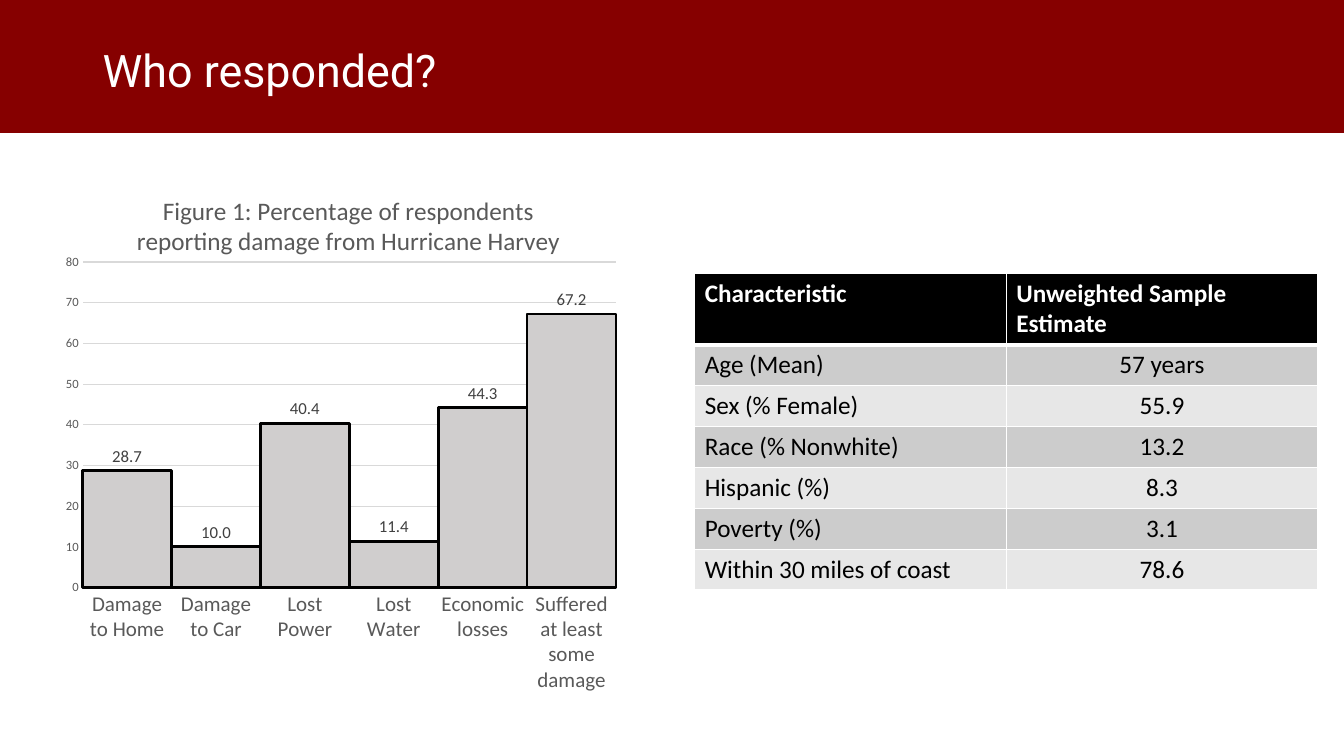
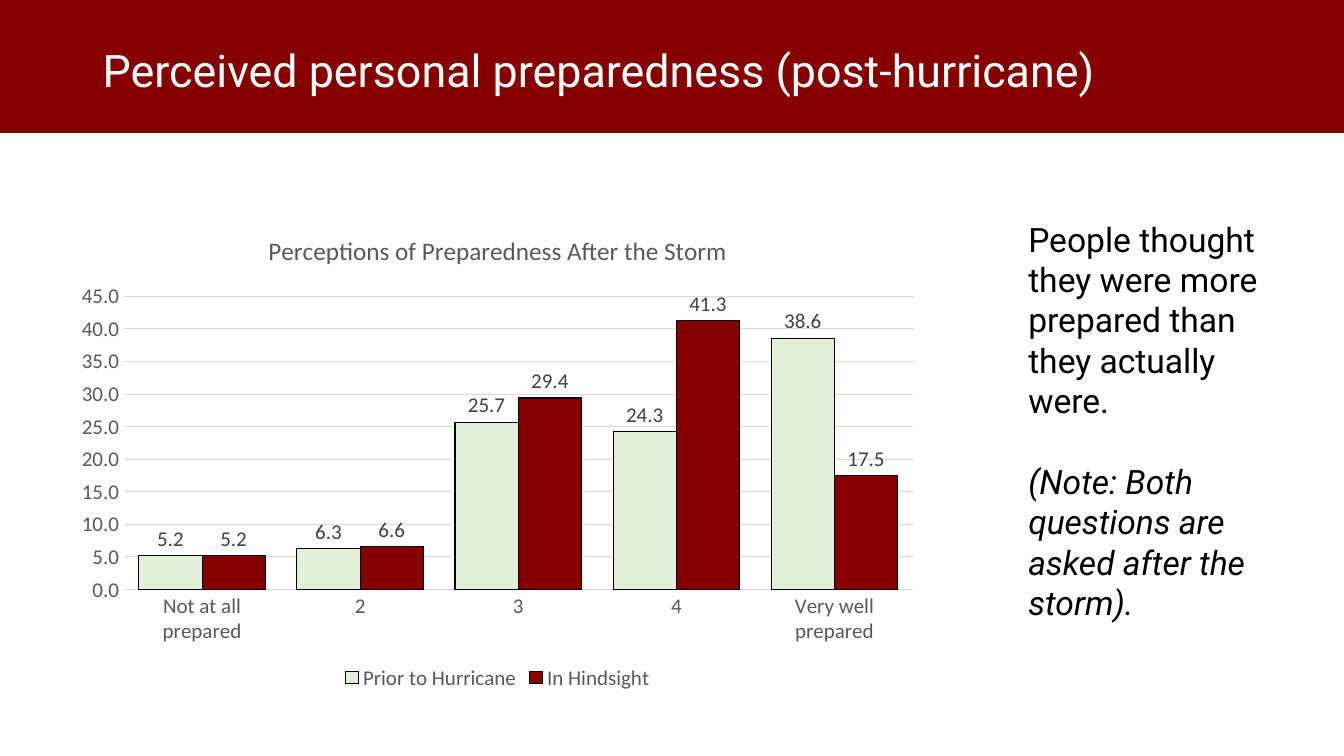
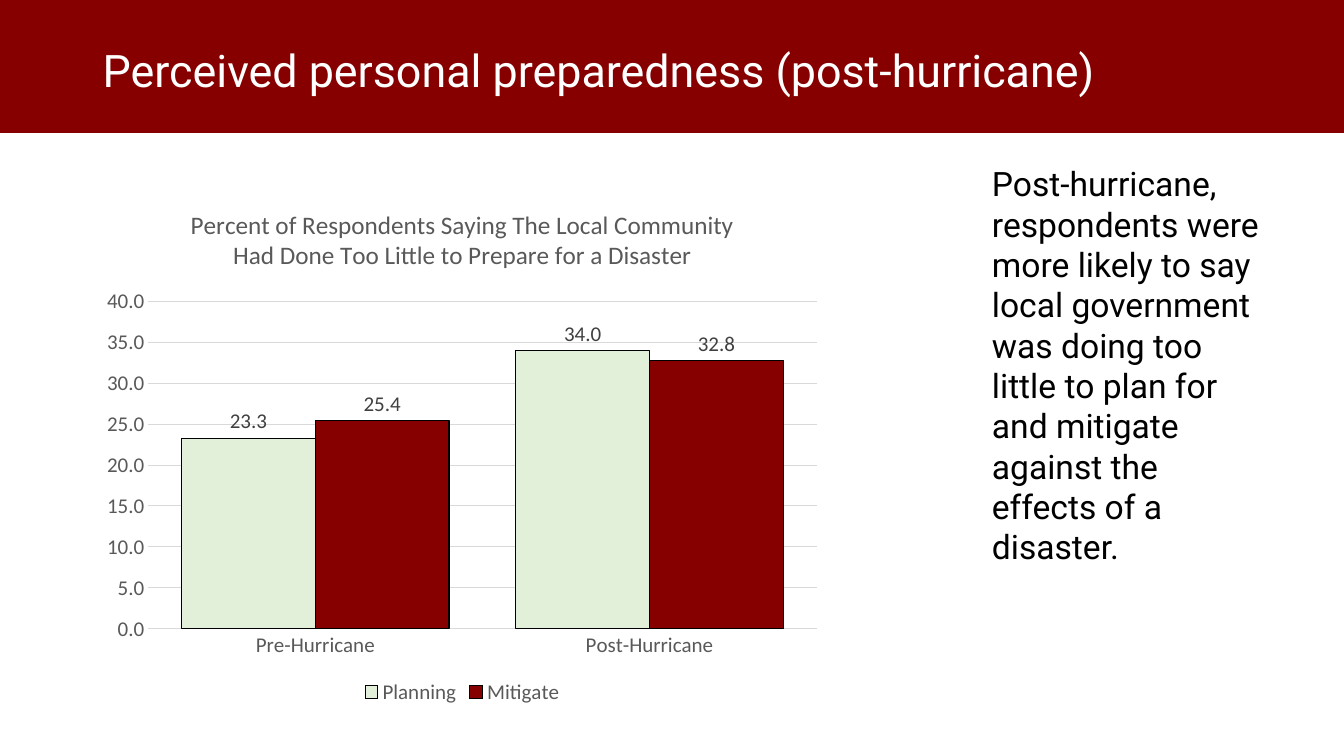
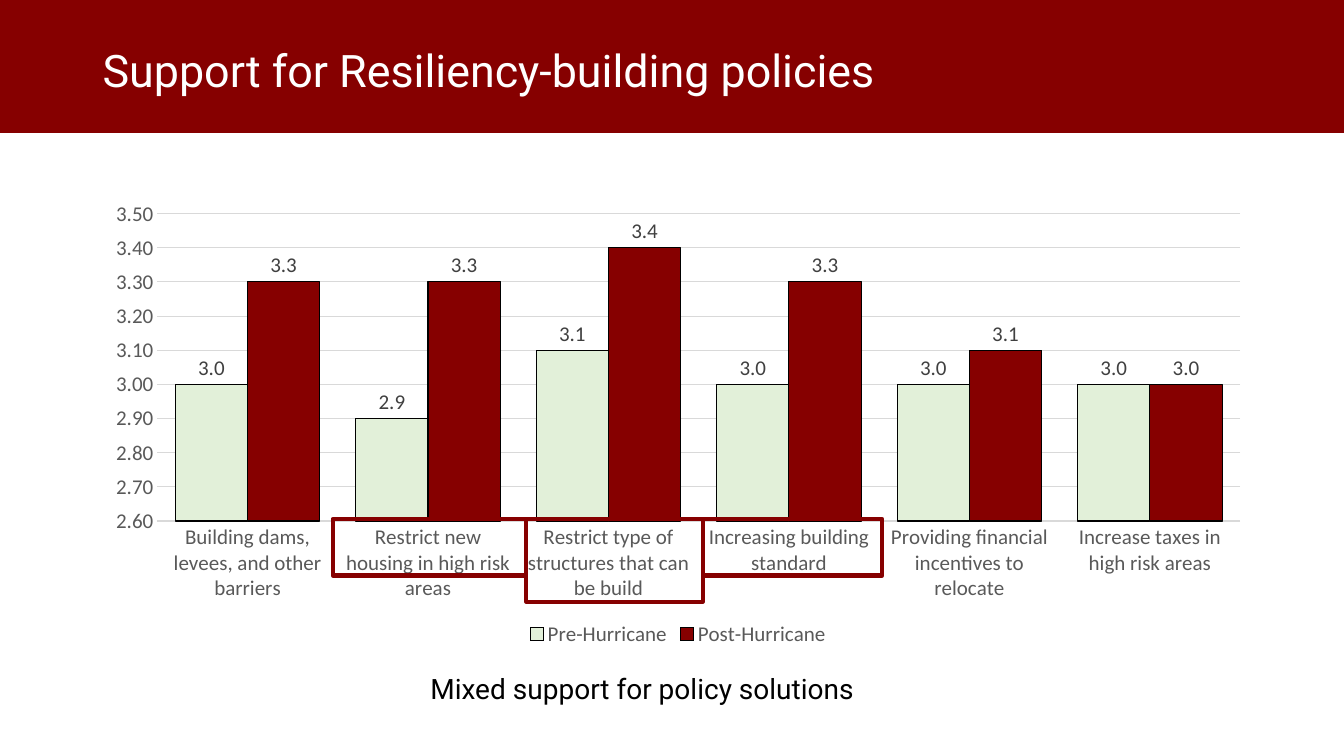
from lxml import etree
from pptx import Presentation
from pptx.chart.data import CategoryChartData
from pptx.dml.color import RGBColor
from pptx.enum.chart import XL_CHART_TYPE as ChartType
from pptx.enum.chart import XL_LABEL_POSITION as LabelPosition
from pptx.enum.chart import XL_LEGEND_POSITION as LegendPosition
from pptx.enum.chart import XL_TICK_MARK as TickMark
from pptx.enum.shapes import MSO_SHAPE as Shape
from pptx.enum.text import MSO_ANCHOR as Anchor
from pptx.enum.text import MSO_AUTO_SIZE as AutoSize
from pptx.enum.text import PP_ALIGN as Align
from pptx.oxml import parse_xml
from pptx.oxml.ns import nsdecls, qn
from pptx.util import Pt

PX = 9144
WIDTH, HEIGHT = 1333, 750
COLORS = {
    "crimson": "860000", "mint": "E2F0D9", "silver": "D0CECE",
    "white": "FFFFFF", "black": "000000", "axis": "595959",
    "label": "404040", "grid": "D9D9D9", "odd": "CCCCCC", "even": "E7E7E7",
}
HEADING = {"name": "Roboto", "size": 32, "color": "white"}
BODY = {"name": "Roboto", "size": 24, "color": "black"}
CHART_TEXT = {"name": "Calibri", "size": 15, "color": "axis"}
TABLE_TEXT = {"name": "Calibri", "size": 18, "color": "black", "bold": False}
TABLE_HEAD = TABLE_TEXT | {"color": "white", "bold": True}
PAIR = {"fills": ["mint", "crimson"], "line": 0.75, "gap": 50, "overlap": 0,
        "legend": True, "axis_size": 15, "label_size": 15, "axis_format": "0.0"}

SAMPLE = {
    "frame": (689, 271), "column": 309, "head_height": 70, "row_height": 40,
    "rows": [
        ("Characteristic", "Unweighted Sample Estimate"),
        ("Age (Mean)", "57 years"),
        ("Sex (% Female)", "55.9"),
        ("Race (% Nonwhite)", "13.2"),
        ("Hispanic (%)", "8.3"),
        ("Poverty (%)", "3.1"),
        ("Within 30 miles of coast", "78.6"),
    ],
}
PREPAREDNESS = "Perceived personal preparedness (post-hurricane)"

SLIDES = [
    {
        "title": "Who responded?",
        "chart": {
            "title": "Figure 1: Percentage of respondents reporting damage from Hurricane Harvey",
            "frame": (49, 171, 593, 536), "plot": (82, 260, 529, 323),
            "scale": (0, 80, 10), "axis_format": "General", "axis_size": 9,
            "label_size": 12, "fills": ["silver"], "line": 2, "gap": 0,
            "overlap": -27, "legend": False,
            "categories": ["Damage to Home", "Damage to Car", "Lost Power", "Lost Water",
                           "Economic losses", "Suffered at least some damage"],
            "series": {"Series 1": [28.7, 10, 40.4, 11.4, 44.3, 67.2]},
        },
        "table": SAMPLE,
    },
    {
        "title": PREPAREDNESS,
        "chart": PAIR | {
            "title": "Perceptions of Preparedness After the Storm",
            "frame": (64, 212, 859, 477), "plot": (122, 294, 784, 291),
            "scale": (0, 45, 5),
            "categories": ["Not at all prepared", "2", "3", "4", "Very well prepared"],
            "series": {"Prior to Hurricane": [5.2, 6.3, 25.7, 24.3, 38.6],
                       "In Hindsight": [5.2, 6.6, 29.4, 41.3, 17.5]},
        },
        "text": {
            "frame": (1010, 212, 262, 488),
            "paragraphs": [
                ("People thought they were more prepared than they actually were.", {}),
                ("(Note: Both questions are asked after the storm).", {"italic": True}),
            ],
        },
    },
    {
        "title": PREPAREDNESS,
        "chart": PAIR | {
            "title": "Percent of Respondents Saying The Local Community "
                     "Had Done Too Little to Prepare for a Disaster",
            "frame": (92, 185, 733, 518), "plot": (147, 299, 663, 325),
            "scale": (0, 40, 5),
            "categories": ["Pre-Hurricane", "Post-Hurricane"],
            "series": {"Planning": [23.3, 34], "Mitigate": [25.4, 32.8]},
        },
        "text": {
            "frame": (974, 157, 294, 414),
            "paragraphs": [
                ("Post-hurricane, respondents were more likely to say local government was "
                 "doing too little to plan for and mitigate against the effects of a disaster.", {}),
            ],
        },
    },
    {
        "title": "Support for Resiliency-building policies",
        "chart": PAIR | {
            "title": None,
            "frame": (92, 190, 1161, 456), "plot": (156, 212, 1074, 305),
            "scale": (2.6, 3.5, 0.1), "axis_format": "0.00",
            "categories": ["Building dams, levees, and other barriers",
                           "Restrict new housing in high risk areas",
                           "Restrict type of structures that can be build",
                           "Increasing building standard",
                           "Providing financial incentives to relocate",
                           "Increase taxes in high risk areas"],
            "series": {"Pre-Hurricane": [3, 2.9, 3.1, 3, 3, 3],
                       "Post-Hurricane": [3.3, 3.3, 3.4, 3.3, 3.1, 3]},
        },
        "highlights": {"left": 330, "top": 515, "sizes": [(192, 56), (175, 82), (178, 56)]},
        "text": {
            "frame": (417, 661, 510, 44),
            "paragraphs": [("Mixed support for policy solutions", {"size": 20})],
        },
    },
]


def emu(lengths):
    return [length * PX for length in lengths]


def rgb(name):
    return RGBColor.from_string(COLORS[name])


def assign(target, values):
    for name, value in values.items():
        setattr(target, name, value)


def style_font(font, values):
    for name, value in values.items():
        if name == "color":
            font.color.rgb = rgb(value)
        else:
            setattr(font, name, Pt(value) if name == "size" else value)


def paint(fill, color):
    fill.solid()
    fill.fore_color.rgb = rgb(color)


def draw_line(line, color, width):
    line.color.rgb = rgb(color)
    line.width = Pt(width)


def add_rectangle(page, frame, fill, width):
    box = page.shapes.add_shape(Shape.RECTANGLE, *emu(frame))
    box.shadow.inherit = False
    if fill:
        paint(box.fill, fill)
    else:
        box.fill.background()
    draw_line(box.line, "crimson", width)


def add_text(page, frame, paragraphs, base, frame_format, para_format):
    text_frame = page.shapes.add_textbox(*emu(frame)).text_frame
    assign(text_frame, {"word_wrap": True} | frame_format)
    for index, (text, extra) in enumerate(paragraphs):
        para = text_frame.add_paragraph() if index else text_frame.paragraphs[0]
        assign(para, para_format)
        if index:
            para.space_before = Pt(29)
        span = para.add_run()
        span.text = text
        style_font(span.font, base | extra)


def place_plot(chart, frame, plot):
    area = chart.element.find(".//" + qn("c:plotArea"))
    for old in area.findall(qn("c:layout")):
        area.remove(old)
    left, top, width, height = frame
    values = {
        "layoutTarget": "inner", "xMode": "edge", "yMode": "edge",
        "x": (plot[0] - left) / width, "y": (plot[1] - top) / height,
        "w": plot[2] / width, "h": plot[3] / height,
    }
    layout = etree.Element(qn("c:layout"))
    manual = etree.SubElement(layout, qn("c:manualLayout"))
    for name, value in values.items():
        etree.SubElement(manual, qn("c:" + name)).set("val", str(value))
    area.insert(0, layout)


def style_axes(chart, content):
    low, high, step = content["scale"]
    category, value = chart.category_axis, chart.value_axis
    for axis, size in ((category, 15), (value, content["axis_size"])):
        assign(axis, {"major_tick_mark": TickMark.NONE, "minor_tick_mark": TickMark.NONE})
        style_font(axis.tick_labels.font, CHART_TEXT | {"size": size})
    draw_line(category.format.line, "grid", 0.75)
    assign(value, {"minimum_scale": low, "maximum_scale": high, "major_unit": step,
                   "has_major_gridlines": True})
    value.format.line.fill.background()
    draw_line(value.major_gridlines.format.line, "grid", 0.75)
    assign(value.tick_labels, {"number_format": content["axis_format"],
                               "number_format_is_linked": False})


def add_column_chart(page, content):
    data = CategoryChartData()
    data.categories = content["categories"]
    for name, values in content["series"].items():
        data.add_series(name, values)
    chart = page.shapes.add_chart(
        ChartType.COLUMN_CLUSTERED, *emu(content["frame"]), data).chart
    style_font(chart.font, CHART_TEXT)
    chart.has_title = bool(content["title"])
    if content["title"]:
        title = chart.chart_title
        title.include_in_layout = False
        title.text_frame.text = content["title"]
        span = title.text_frame.paragraphs[0].runs[0]
        style_font(span.font, CHART_TEXT | {"size": 18, "bold": False})
    chart.has_legend = content["legend"]
    if content["legend"]:
        assign(chart.legend, {"position": LegendPosition.BOTTOM, "include_in_layout": False})
        style_font(chart.legend.font, CHART_TEXT)
    style_axes(chart, content)
    plot = chart.plots[0]
    assign(plot, {"gap_width": content["gap"], "overlap": content["overlap"],
                  "vary_by_categories": False})
    for series, color in zip(plot.series, content["fills"]):
        paint(series.format.fill, color)
        draw_line(series.format.line, "black", content["line"])
        labels = series.data_labels
        assign(labels, {"show_value": True, "position": LabelPosition.OUTSIDE_END,
                        "number_format": "#,##0.0", "number_format_is_linked": False})
        style_font(labels.font, CHART_TEXT | {"size": content["label_size"], "color": "label"})
    place_plot(chart, content["frame"], content["plot"])


def add_borders(cell, widths):
    properties = cell._tc.get_or_add_tcPr()
    for side, width in widths.items():
        properties.append(parse_xml(
            f'<a:ln{side} {nsdecls("a")} w="{Pt(width)}"><a:solidFill>'
            f'<a:srgbClr val="{COLORS["white"]}"/></a:solidFill></a:ln{side}>'))


def add_sample_table(page, content):
    rows = content["rows"]
    heights = [content["head_height"]] + [content["row_height"]] * (len(rows) - 1)
    size = (content["column"] * 2, sum(heights))
    table = page.shapes.add_table(len(rows), 2, *emu(content["frame"] + size)).table
    for column in table.columns:
        column.width = content["column"] * PX
    for row, (texts, height) in enumerate(zip(rows, heights)):
        table.rows[row].height = height * PX
        fill = ("odd" if row % 2 else "even") if row else "black"
        for column, text in enumerate(texts):
            cell = table.cell(row, column)
            add_borders(cell, {"L": 1, "R": 1, "T": 3 if row == 1 else 1, "B": 1 if row else 3})
            paint(cell.fill, fill)
            para = cell.text_frame.paragraphs[0]
            para.alignment = Align.CENTER if row and column else Align.LEFT
            span = para.add_run()
            span.text = text
            style_font(span.font, TABLE_TEXT if row else TABLE_HEAD)


def add_highlights(page, content):
    left = content["left"]
    for width, height in content["sizes"]:
        add_rectangle(page, (left, content["top"], width, height), None, 3)
        left += width


def add_page(deck, content):
    page = deck.slides.add_slide(deck.slide_layouts[6])
    add_column_chart(page, content["chart"])
    if "table" in content:
        add_sample_table(page, content["table"])
    add_rectangle(page, (0, 0, WIDTH, 131), "crimson", 1)
    add_text(page, (92, 0, 1150, 145), [(content["title"], {})], HEADING,
             {"vertical_anchor": Anchor.MIDDLE}, {"line_spacing": 0.9})
    if "highlights" in content:
        add_highlights(page, content["highlights"])
    if "text" in content:
        add_text(page, content["text"]["frame"], content["text"]["paragraphs"], BODY,
                 {"auto_size": AutoSize.SHAPE_TO_FIT_TEXT}, {})


def main():
    deck = Presentation()
    assign(deck, {"slide_width": WIDTH * PX, "slide_height": HEIGHT * PX})
    for content in SLIDES:
        add_page(deck, content)
    deck.save("out.pptx")


if __name__ == "__main__":
    main()
